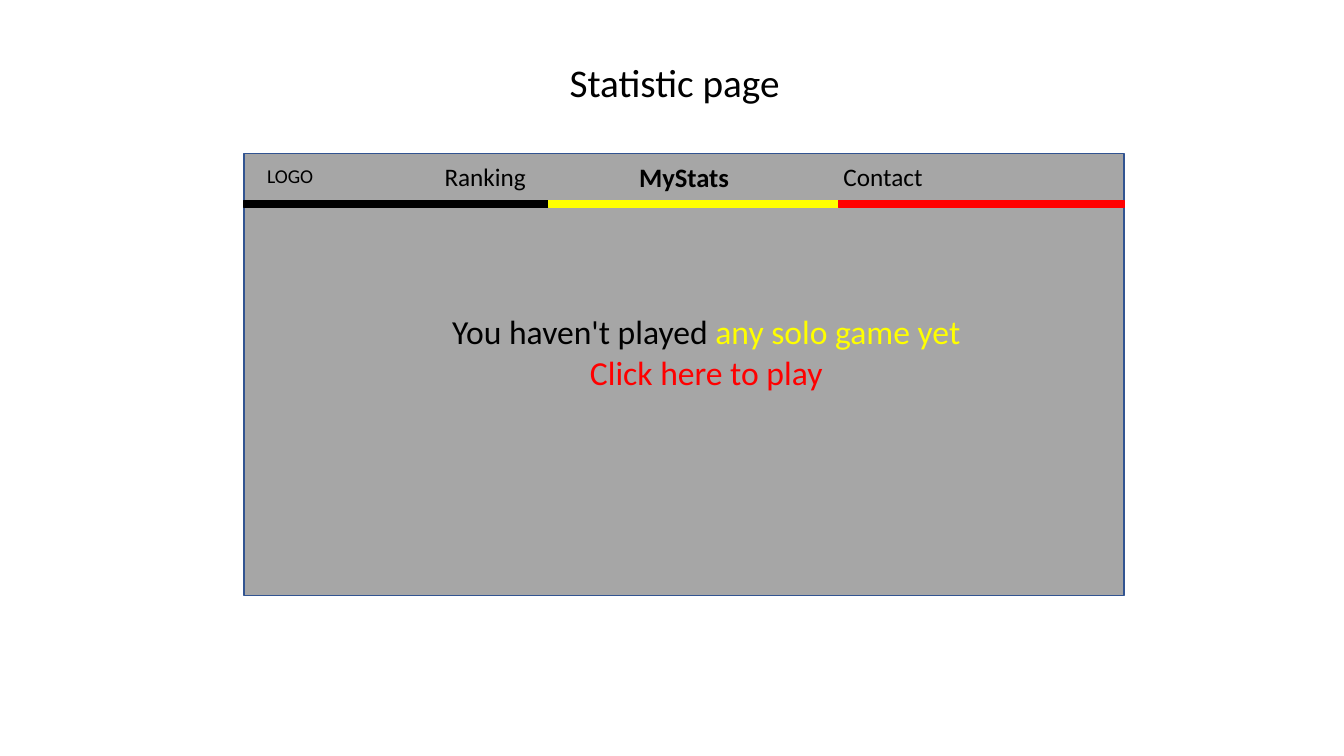
from dataclasses import dataclass
from itertools import pairwise

from pptx import Presentation
from pptx.dml.color import RGBColor
from pptx.enum.shapes import MSO_SHAPE as Kind
from pptx.enum.text import MSO_ANCHOR as Anchor, MSO_AUTO_SIZE as Fit, PP_ALIGN as Align
from pptx.shapes.autoshape import Shape
from pptx.slide import Slide
from pptx.util import Inches, Pt

WIDE, HIGH = Inches(13.33), Inches(7.5)
LEFT, SPAN = 18.15, 65.48
TOP, BAR, BODY = 20.27, 6.26, 52.27
SPLIT = TOP + BAR
GREY, BLUE = "A6A6A6", "325491"
BLACK, YELLOW, RED = "000000", "FFFF00", "FF0000"


@dataclass
class Box:
    """A frame in percent of the slide's width and height."""
    left: float
    top: float
    width: float
    height: float

    def size(self) -> tuple[int, int, int, int]:
        """Return the frame in slide units."""
        return (int(WIDE * self.left / 100), int(HIGH * self.top / 100),
                int(WIDE * self.width / 100), int(HIGH * self.height / 100))


@dataclass
class Panel:
    """A filled and outlined rectangle."""
    box: Box
    fill: str
    line: str
    weight: float = 1


@dataclass
class Tab:
    """An entry of the menu bar."""
    name: str
    size: float = 18
    bold: bool = False


def shade(code: str) -> RGBColor:
    """Turn a hex string into a colour."""
    return RGBColor.from_string(code)


def draw(slide: Slide, panel: Panel) -> None:
    """Draw a panel on the slide."""
    rect = slide.shapes.add_shape(Kind.RECTANGLE, *panel.box.size())
    rect.shadow.inherit = False
    rect.fill.solid()
    rect.fill.fore_color.rgb = shade(panel.fill)
    rect.line.color.rgb = shade(panel.line)
    rect.line.width = Pt(panel.weight)


def write(shape: Shape, lines: list[list[tuple[str, str]]], size: float = 18,
          bold: bool = False, align: Align = Align.CENTER,
          anchor: Anchor = Anchor.MIDDLE) -> None:
    """Fill a shape with lines of coloured text runs."""
    frame = shape.text_frame
    frame.word_wrap = True
    frame.auto_size = Fit.NONE
    frame.vertical_anchor = anchor
    for i, line in enumerate(lines):
        para = frame.add_paragraph() if i else frame.paragraphs[0]
        para.alignment = align
        para.space_before = Pt(0)
        for text, color in line:
            run = para.add_run()
            run.text = text
            font = run.font
            font.name, font.size, font.bold = "Calibri", Pt(size), bold
            font.color.rgb = shade(color)


def place(slide: Slide, box: Box) -> Shape:
    """Add an empty text box."""
    return slide.shapes.add_textbox(*box.size())


def main() -> None:
    """Build the slide and save it."""
    deck = Presentation()
    deck.slide_width, deck.slide_height = WIDE, HIGH
    slide = deck.slides.add_slide(deck.slide_layouts[5])

    title = slide.shapes.title
    title.left, title.top, title.width, title.height = Box(41.63, 7.07, 19.95, 7.6).size()
    write(title, [[("Statistic page", BLACK)]], size=28, align=Align.LEFT, anchor=Anchor.TOP)

    draw(slide, Panel(Box(LEFT, TOP, SPAN, BAR), GREY, BLUE))
    draw(slide, Panel(Box(LEFT, SPLIT, SPAN, BODY), GREY, BLUE))
    edges = pairwise([LEFT, 40.8, 62.4, LEFT + SPAN])
    for (start, end), color in zip(edges, [BLACK, YELLOW, RED]):
        draw(slide, Panel(Box(start, SPLIT, end - start, 0.93), color, color))

    logo = place(slide, Box(19.13, 21.07, 7.5, 4.53))
    write(logo, [[("LOGO", BLACK)]], size=14, align=Align.LEFT, anchor=Anchor.TOP)
    step = 14.8
    for i, tab in enumerate([Tab("Ranking"), Tab("MyStats", 19, True), Tab("Contact")]):
        cell = place(slide, Box(28.7 + i * step, TOP, step, BAR))
        write(cell, [[(tab.name, BLACK)]], size=tab.size, bold=tab.bold)

    note = place(slide, Box(31.7, 40.53, 41.7, 12.13))
    write(note, [[("You haven't played ", BLACK), ("any solo game yet", YELLOW)],
                 [("Click here to play", RED)]], size=24, anchor=Anchor.TOP)
    deck.save("out.pptx")


if __name__ == "__main__":
    main()
